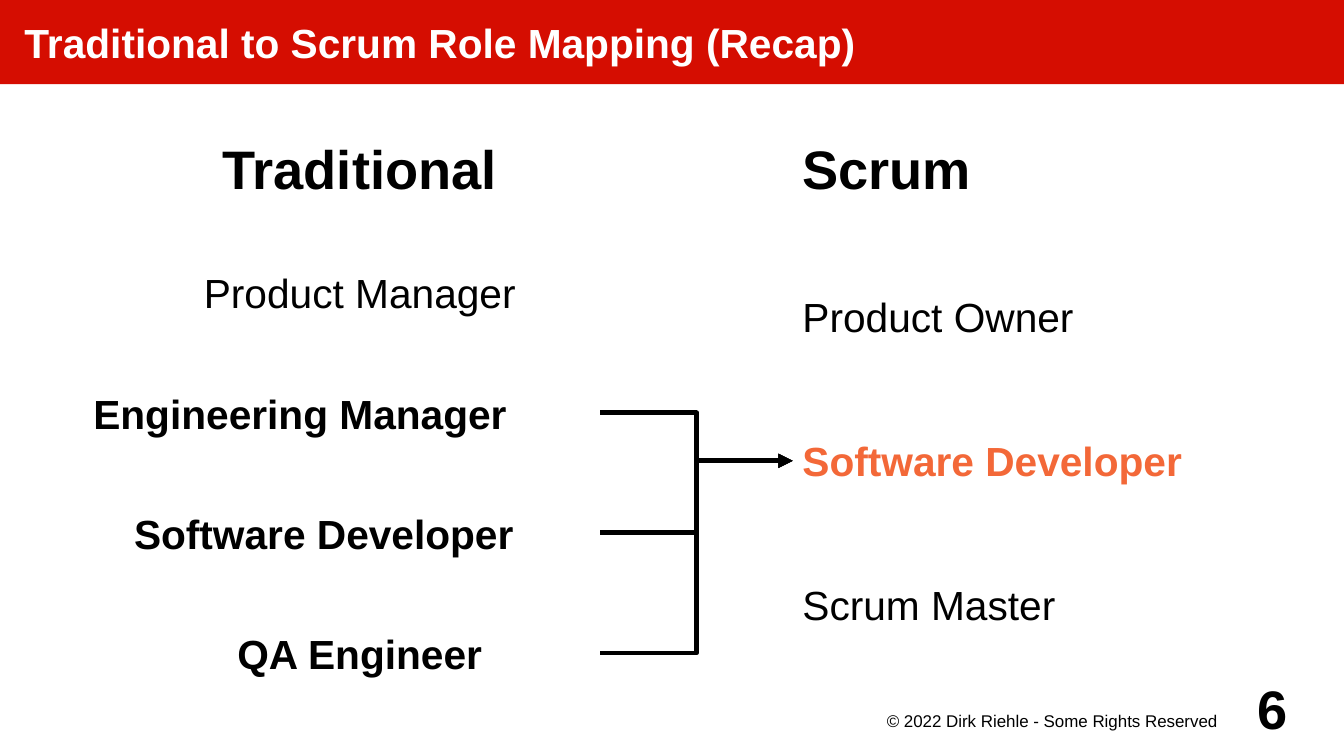
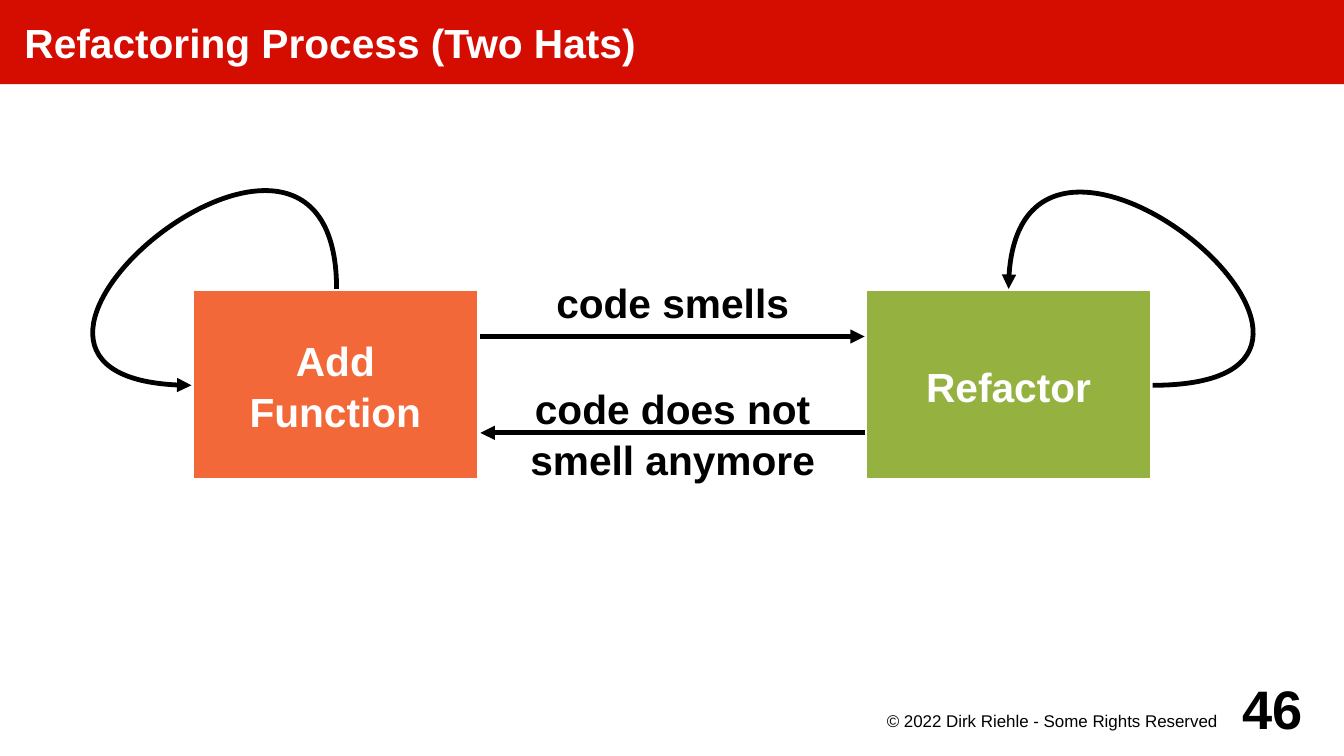
from dataclasses import dataclass

from lxml import etree
from pptx import Presentation
from pptx.dml.color import RGBColor
from pptx.enum.shapes import MSO_CONNECTOR, MSO_SHAPE
from pptx.enum.text import MSO_ANCHOR, PP_ALIGN
from pptx.oxml.ns import qn
from pptx.util import Inches, Pt

RECT = MSO_SHAPE.RECTANGLE
STRAIGHT, ELBOW = MSO_CONNECTOR.STRAIGHT, MSO_CONNECTOR.ELBOW
LEFT, CENTER = PP_ALIGN.LEFT, PP_ALIGN.CENTER
TOP, MIDDLE = MSO_ANCHOR.TOP, MSO_ANCHOR.MIDDLE


@dataclass(frozen=True)
class Theme:
    font: str = "Arial"
    band: str = "D50D01"
    orange: str = "F36838"
    green: str = "95B241"
    black: str = "000000"
    white: str = "FFFFFF"
    heading: int = 32
    body: int = 24
    footer: int = 10
    stroke: float = 2.83


T = Theme()
WIDTH, HEIGHT = 11.02, 6.2
FOOTER = "© 2022 Dirk Riehle - Some Rights Reserved"


@dataclass(frozen=True)
class Box:
    text: str
    at: tuple
    size: int = T.body
    color: str = T.black
    bold: bool = True
    align: PP_ALIGN = CENTER
    anchor: MSO_ANCHOR = MIDDLE
    insets: tuple = (0.08, 0.08, 0.08, 0.08)
    spacing: float = 1.0
    fill: str = ""
    line: str = ""
    opacity: int = 100


@dataclass(frozen=True)
class Arrow:
    start: tuple
    end: tuple
    kind: MSO_CONNECTOR = STRAIGHT


@dataclass(frozen=True)
class Loop:
    at: tuple
    points: tuple


def rgb(value: str) -> RGBColor:
    return RGBColor.from_string(value)


def apply(target, values: dict) -> None:
    for name, value in values.items():
        setattr(target, name, value)


def style_line(line, color: str, arrow: bool = False) -> None:
    line.color.rgb = rgb(color)
    line.width = Pt(T.stroke)
    if arrow:
        ln = line._get_or_add_ln()
        etree.SubElement(ln, qn("a:tailEnd"), type="triangle")


def write(sp, box: Box) -> None:
    tf = sp.text_frame
    left, top, right, bottom = map(Inches, box.insets)
    apply(tf, {"word_wrap": True, "vertical_anchor": box.anchor,
               "margin_left": left, "margin_top": top,
               "margin_right": right, "margin_bottom": bottom})
    for i, text in enumerate(box.text.split("\n")):
        p = tf.paragraphs[0] if i == 0 else tf.add_paragraph()
        apply(p, {"alignment": box.align, "line_spacing": box.spacing})
        r = p.add_run()
        r.text = text
        apply(r.font, {"name": T.font, "size": Pt(box.size), "bold": box.bold})
        r.font.color.rgb = rgb(box.color)


def draw_box(slide, box: Box) -> None:
    at = map(Inches, box.at)
    if box.fill:
        sp = slide.shapes.add_shape(RECT, *at)
        sp.shadow.inherit = False
        sp.fill.solid()
        sp.fill.fore_color.rgb = rgb(box.fill)
        if box.opacity < 100:
            clr = sp.fill._xPr.find(".//" + qn("a:srgbClr"))
            etree.SubElement(clr, qn("a:alpha"), val=str(box.opacity * 1000))
        if box.line:
            style_line(sp.line, box.line)
        else:
            sp.line.fill.background()
    else:
        sp = slide.shapes.add_textbox(*at)
    write(sp, box)


def draw_arrow(slide, arrow: Arrow) -> None:
    cx = slide.shapes.add_connector(
        arrow.kind, *map(Inches, arrow.start + arrow.end))
    style_line(cx.line, T.black, arrow=True)
    etree.SubElement(cx._element.spPr, qn("a:effectLst"))


def draw_loop(slide, loop: Loop) -> None:
    x, y, w, h = loop.at
    fb = slide.shapes.build_freeform(Inches(x), Inches(y))
    fb.add_line_segments([(Inches(x + w), Inches(y + h))], close=False)
    sp = fb.convert_to_shape()
    path_el = sp._element.find(".//" + qn("a:path"))
    for child in list(path_el):
        path_el.remove(child)
    move = etree.SubElement(path_el, qn("a:moveTo"))
    curve = etree.SubElement(path_el, qn("a:cubicBezTo"))
    for i, (px, py) in enumerate(loop.points):
        etree.SubElement(move if i == 0 else curve, qn("a:pt"),
                         x=str(Inches(px - x)), y=str(Inches(py - y)))
    sp.shadow.inherit = False
    sp.fill.background()
    style_line(sp.line, T.black, arrow=True)


DRAW = {Box: draw_box, Arrow: draw_arrow, Loop: draw_loop}


def add_slide(prs, title: str, number: int, items: list) -> None:
    slide = prs.slides.add_slide(prs.slide_layouts[6])
    frame = [
        Box(title, (0, 0, WIDTH, 0.69), color=T.white, align=LEFT,
            insets=(0.2, 0, 0, 0), fill=T.band),
        Box(FOOTER, (7.09, 5.81, 3.15, 0.3), size=T.footer, bold=False,
            anchor=TOP, insets=(0, 0.02, 0.08, 0)),
        Box(str(number), (10.04, 5.51, 0.79, 0.59), size=T.heading,
            insets=(0, 0, 0, 0)),
    ]
    for item in frame[:1] + items + frame[1:]:
        DRAW[type(item)](slide, item)


def role_mapping() -> list:
    right, scrum_x = 4.92, 6.5
    row_h, step, first = 1.18, 0.985, 1.81
    roles = [("Product Manager", 0.98), ("Engineering Manager", 0),
             ("Software Developer", 0.39), ("QA Engineer", 0.98)]
    items = [
        Box("Traditional", (0.98, 0.79, 3.94, row_h), size=T.heading),
        Box("Scrum", (scrum_x, 0.79, 3.94, row_h), size=T.heading, align=LEFT),
    ]
    for i, (role, x) in enumerate(roles):
        y = first + i * step
        items.append(Box(role, (x, y, right - x, row_h), bold=i > 0))
        if i > 0:
            items.append(Arrow((right, y + row_h / 2), (scrum_x, 3.78), ELBOW))
    scrum_roles = ["Product Owner", "Software Developer", "Scrum Master"]
    for i, role in enumerate(scrum_roles):
        merged = role == "Software Developer"
        items.append(Box(role, (scrum_x, first + i * row_h, 4.33, 1.57),
                         color=T.orange if merged else T.black,
                         bold=merged, align=LEFT))
    return items


def two_hats() -> list:
    top, w, h = 2.37, 2.36, 1.57
    add_x, refactor_x = 1.57, 7.09
    gap_x, gap_w = 3.94, 3.15
    hat = {"color": T.white, "line": T.white, "spacing": 1.05}
    label = {"fill": T.white, "opacity": 80, "spacing": 1.05}
    return [
        Box("Refactor", (refactor_x, top, w, h), fill=T.green, **hat),
        Box("Add Function", (add_x, top, w, h), fill=T.orange,
            insets=(0.2, 0.2, 0.2, 0.2), **hat),
        Box("code smells", (gap_x, 2.17, gap_w, 0.59), **label),
        Box("code does not\nsmell anymore", (gap_x, 2.96, gap_w, 1.18), **label),
        Arrow((refactor_x, 3.55), (gap_x, 3.55)),
        Arrow((gap_x, 2.76), (refactor_x, 2.76)),
        Loop((8.27, 1.57, 1.99, 1.58),
             ((9.45, 3.16), (11.81, 3.16), (8.27, 0.2), (8.27, top))),
        Loop((0.76, 1.57, 1.99, 1.58),
             ((2.76, top), (2.76, 0.2), (-0.79, 3.16), (add_x, 3.16))),
    ]


def main() -> None:
    prs = Presentation()
    prs.slide_width, prs.slide_height = Inches(WIDTH), Inches(HEIGHT)
    add_slide(prs, "Traditional to Scrum Role Mapping (Recap)", 6, role_mapping())
    add_slide(prs, "Refactoring Process (Two Hats)", 46, two_hats())
    prs.save("out.pptx")


if __name__ == "__main__":
    main()
